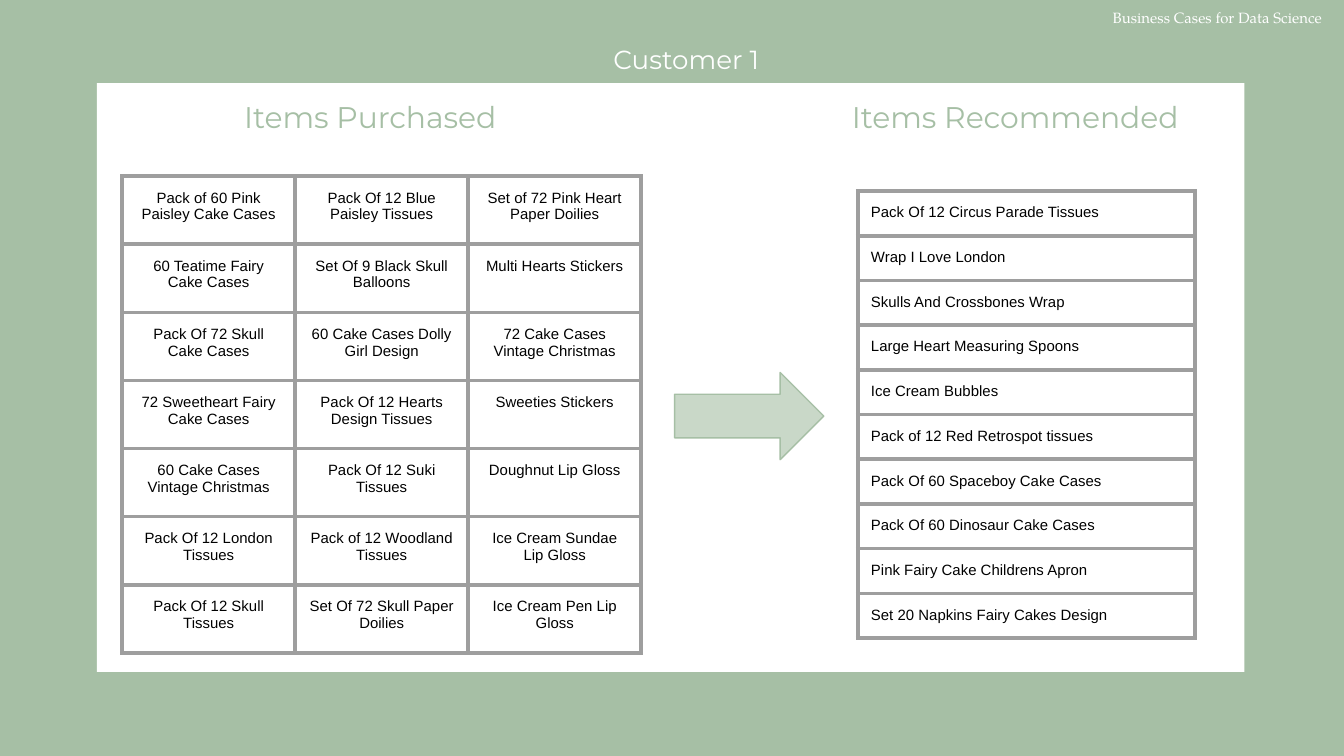
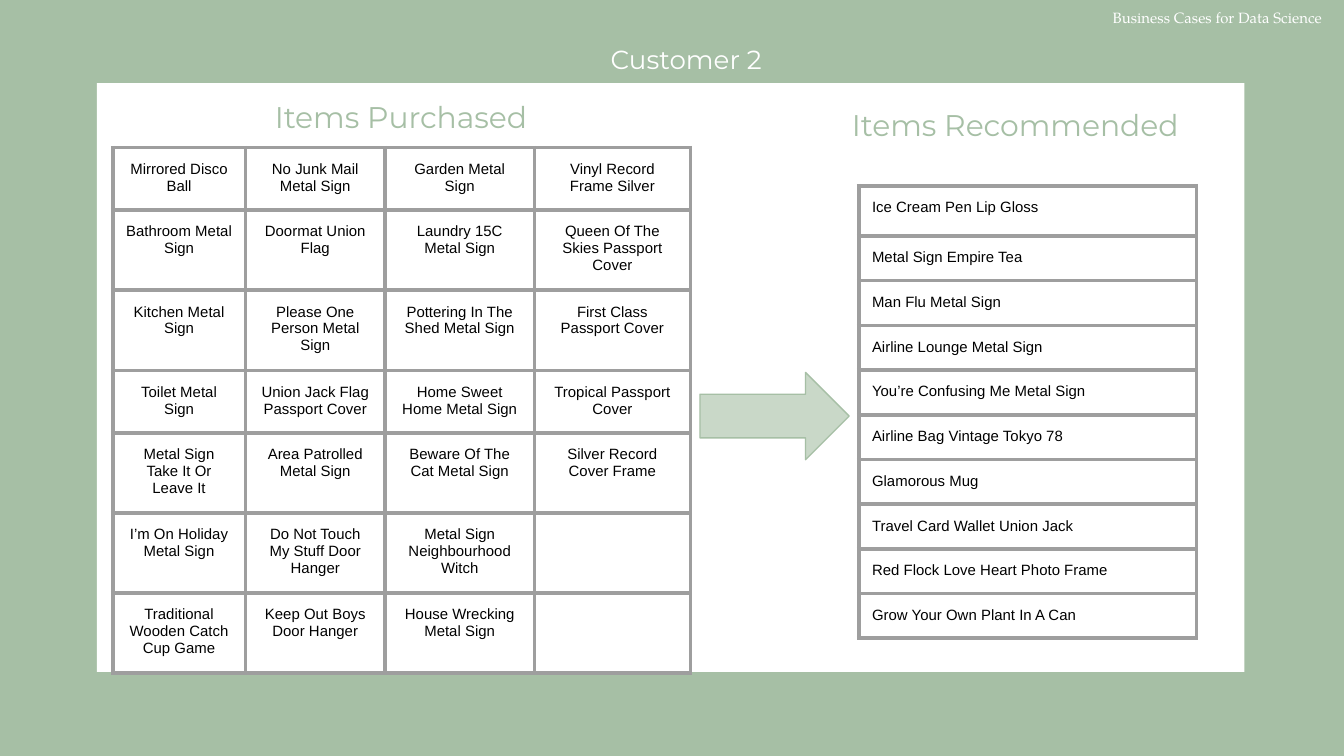
from lxml import etree
from pptx import Presentation
from pptx import util as u
from pptx.dml.color import RGBColor
from pptx.enum import shapes, text
from pptx.oxml.ns import qn

Cm, Pt = u.Cm, u.Pt

# Colours
SAGE = RGBColor(0xA6, 0xBF, 0xA5)
PALE = RGBColor(0xC9, 0xD8, 0xC8)
GREY = RGBColor(0x9E, 0x9E, 0x9E)
WHITE = RGBColor(0xFF, 0xFF, 0xFF)
BLACK = RGBColor(0, 0, 0)

# Text formats
LEFT, MID = text.PP_ALIGN.LEFT, text.PP_ALIGN.CENTER
HEAD = dict(name="Montserrat", size=Pt(16))
TITLE = dict(name="Montserrat", size=Pt(14))
NOTE = dict(name="TeX Gyre Pagella", size=Pt(8))
BODY = dict(name="Arial", size=Pt(8), bold=False)
PAD = {f"margin_{side}": Cm(0.25) for side in ("left", "top", "right", "bottom")}

# Row heights in cm
EVEN = [9.01 / 7] * 7
MIXED = [1.18, 1.51, 1.51, 1.18, 1.51, 1.51, 1.51]
LINE = 0.845

# Content
BOUGHT_1 = [
    ["Pack of 60 Pink Paisley Cake Cases", "Pack Of 12 Blue Paisley Tissues",
     "Set of 72 Pink Heart Paper Doilies"],
    ["60 Teatime Fairy Cake Cases", "Set Of 9 Black Skull Balloons",
     "Multi Hearts Stickers"],
    ["Pack Of 72 Skull Cake Cases", "60 Cake Cases Dolly Girl Design",
     "72 Cake Cases Vintage Christmas"],
    ["72 Sweetheart Fairy Cake Cases", "Pack Of 12 Hearts Design Tissues",
     "Sweeties Stickers"],
    ["60 Cake Cases Vintage Christmas", "Pack Of 12 Suki Tissues",
     "Doughnut Lip Gloss"],
    ["Pack Of 12 London Tissues", "Pack of 12 Woodland Tissues",
     "Ice Cream Sundae Lip Gloss"],
    ["Pack Of 12 Skull Tissues", "Set Of 72 Skull Paper Doilies",
     "Ice Cream Pen Lip Gloss"],
]
ADVISED_1 = [
    "Pack Of 12 Circus Parade Tissues", "Wrap I Love London",
    "Skulls And Crossbones Wrap", "Large Heart Measuring Spoons",
    "Ice Cream Bubbles", "Pack of 12 Red Retrospot tissues",
    "Pack Of 60 Spaceboy Cake Cases", "Pack Of 60 Dinosaur Cake Cases",
    "Pink Fairy Cake Childrens Apron", "Set 20 Napkins Fairy Cakes Design",
]
BOUGHT_2 = [
    ["Mirrored Disco Ball", "No Junk Mail Metal Sign", "Garden Metal Sign",
     "Vinyl Record Frame Silver"],
    ["Bathroom Metal Sign", "Doormat Union Flag", "Laundry 15C Metal Sign",
     "Queen Of The Skies Passport Cover"],
    ["Kitchen Metal Sign", "Please One Person Metal Sign",
     "Pottering In The Shed Metal Sign", "First Class Passport Cover"],
    ["Toilet Metal Sign", "Union Jack Flag Passport Cover",
     "Home Sweet Home Metal Sign", "Tropical Passport Cover"],
    ["Metal Sign Take It Or Leave It", "Area Patrolled Metal Sign",
     "Beware Of The Cat Metal Sign", "Silver Record Cover Frame"],
    ["I’m On Holiday Metal Sign", "Do Not Touch My Stuff Door Hanger",
     "Metal Sign Neighbourhood Witch", ""],
    ["Traditional Wooden Catch Cup Game", "Keep Out Boys Door Hanger",
     "House Wrecking Metal Sign", ""],
]
ADVISED_2 = [
    "Ice Cream Pen Lip Gloss", "Metal Sign Empire Tea", "Man Flu Metal Sign",
    "Airline Lounge Metal Sign", "You’re Confusing Me Metal Sign",
    "Airline Bag Vintage Tokyo 78", "Glamorous Mug",
    "Travel Card Wallet Union Jack", "Red Flock Love Heart Photo Frame",
    "Grow Your Own Plant In A Can",
]


def put(item, form):
    """Set every attribute named in a dict."""
    for key, value in form.items():
        setattr(item, key, value)


def write(frame, words, form, color, align):
    para = frame.paragraphs[0]
    para.alignment = align
    if words:
        run = para.add_run()
        run.text = words
        put(run.font, form)
        run.font.color.rgb = color
    else:
        put(para.font, form)


def label(slide, box, words, form, color, align=MID, anchor=text.MSO_ANCHOR.TOP):
    frame = slide.shapes.add_textbox(*map(Cm, box)).text_frame
    put(frame, dict(PAD, word_wrap=True, vertical_anchor=anchor))
    write(frame, words, form, color, align)


def block(slide, kind, box, fill, line=None):
    shape = slide.shapes.add_shape(kind, *map(Cm, box))
    shape.shadow.inherit = False
    shape.fill.solid()
    shape.fill.fore_color.rgb = fill
    if line is None:
        shape.line.fill.background()
    else:
        shape.line.color.rgb = line
        shape.line.width = Pt(0.75)


def edge(cell):
    """Draw all four borders of a cell."""
    props = cell._tc.get_or_add_tcPr()
    for tag in ("a:lnL", "a:lnR", "a:lnT", "a:lnB"):
        line = etree.SubElement(props, qn(tag), w=str(Pt(2.25)))
        fill = etree.SubElement(line, qn("a:solidFill"))
        etree.SubElement(fill, qn("a:srgbClr"), val=str(GREY))


def grid(slide, left, top, cols, rows, cells, align):
    size = (left, top, sum(cols), sum(rows))
    table = slide.shapes.add_table(len(rows), len(cols), *map(Cm, size)).table
    put(table, dict(first_row=False, horz_banding=False))
    for col, width in zip(table.columns, cols):
        col.width = Cm(width)
    for row, height, line in zip(table.rows, rows, cells):
        row.height = Cm(height)
        for cell, words in zip(row.cells, line):
            put(cell, PAD)
            write(cell.text_frame, words, BODY, BLACK, align)
            edge(cell)
            cell.fill.background()


def base(deck, name):
    """Add a slide with the shared panel, note and title."""
    slide = deck.slides.add_slide(deck.slide_layouts[6])
    block(slide, shapes.MSO_SHAPE.RECTANGLE, (1.83, 1.57, 21.69, 11.13), WHITE)
    label(slide, (20.78, 0, 4.62, 0.86), "Business Cases for Data Science",
          NOTE, WHITE, LEFT)
    label(slide, (11.28, 0.58, 3.38, 1.12), name, TITLE, WHITE)
    return slide


def head(slide, left, top, words):
    label(slide, (left, top, 8.36, 1.22), words, HEAD, SAGE,
          anchor=text.MSO_ANCHOR.BOTTOM)


def page(deck, name, heads, bought, advised, arrow):
    slide = base(deck, name)
    for place, words in zip(heads, ("Items Purchased", "Items Recommended")):
        head(slide, *place, words)
    grid(slide, *bought, MID)
    left, top, rows, items = advised
    grid(slide, left, top, [6.38], rows, [[item] for item in items], LEFT)
    block(slide, shapes.MSO_SHAPE.RIGHT_ARROW, (arrow, 7.04, 2.82, 1.65), PALE, SAGE)


def main():
    deck = Presentation()
    put(deck, dict(slide_width=Cm(25.4), slide_height=Cm(14.29)))
    back = deck.slide_master.background.fill
    back.solid()
    back.fore_color.rgb = SAGE

    # First customer
    page(deck, "Customer 1", [(2.82, 1.57), (15.01, 1.57)],
         (2.31, 3.33, [3.27] * 3, EVEN, BOUGHT_1),
         (16.21, 3.61, [LINE] * 10, ADVISED_1), 12.75)

    # Second customer
    page(deck, "Customer 2", [(3.4, 1.57), (15.01, 1.73)],
         (2.13, 2.79, [2.51, 2.64, 2.82, 2.95], MIXED, BOUGHT_2),
         (16.23, 3.51, [0.95] + [LINE] * 9, ADVISED_2), 13.23)

    deck.save("out.pptx")


if __name__ == "__main__":
    main()
